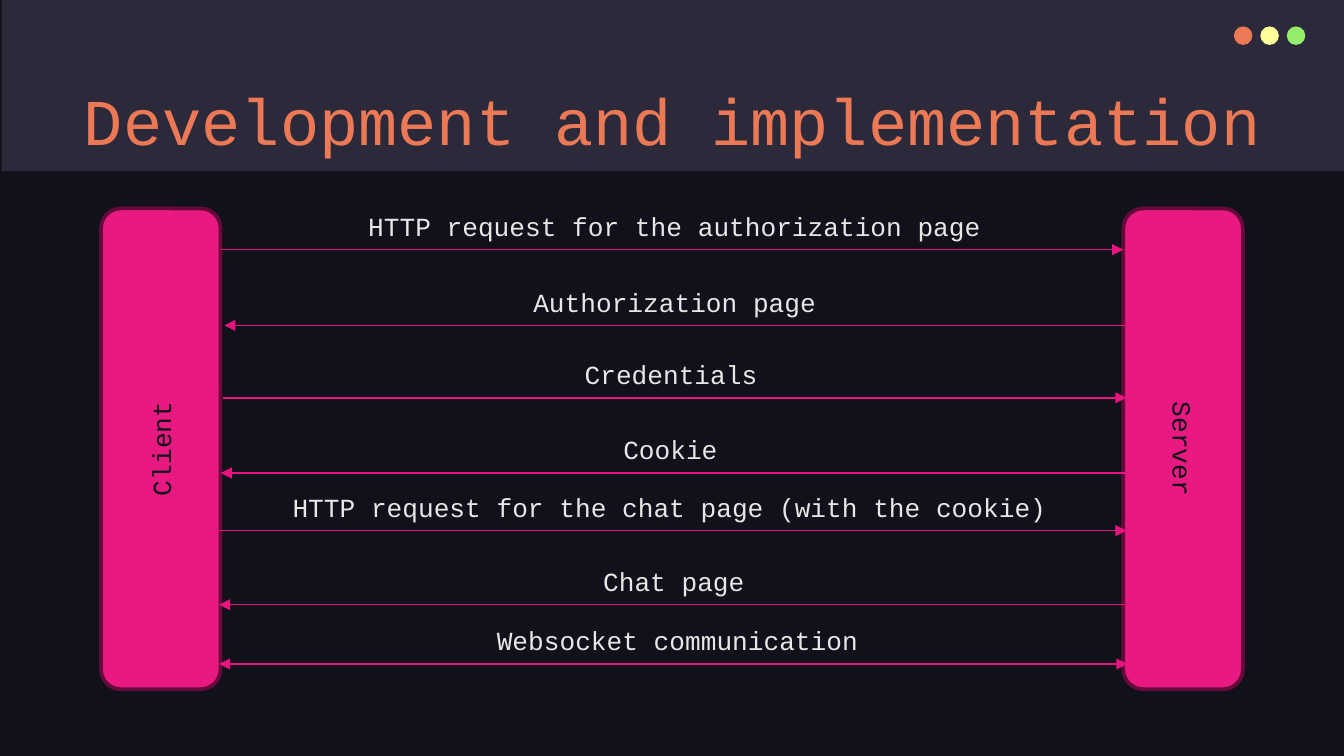
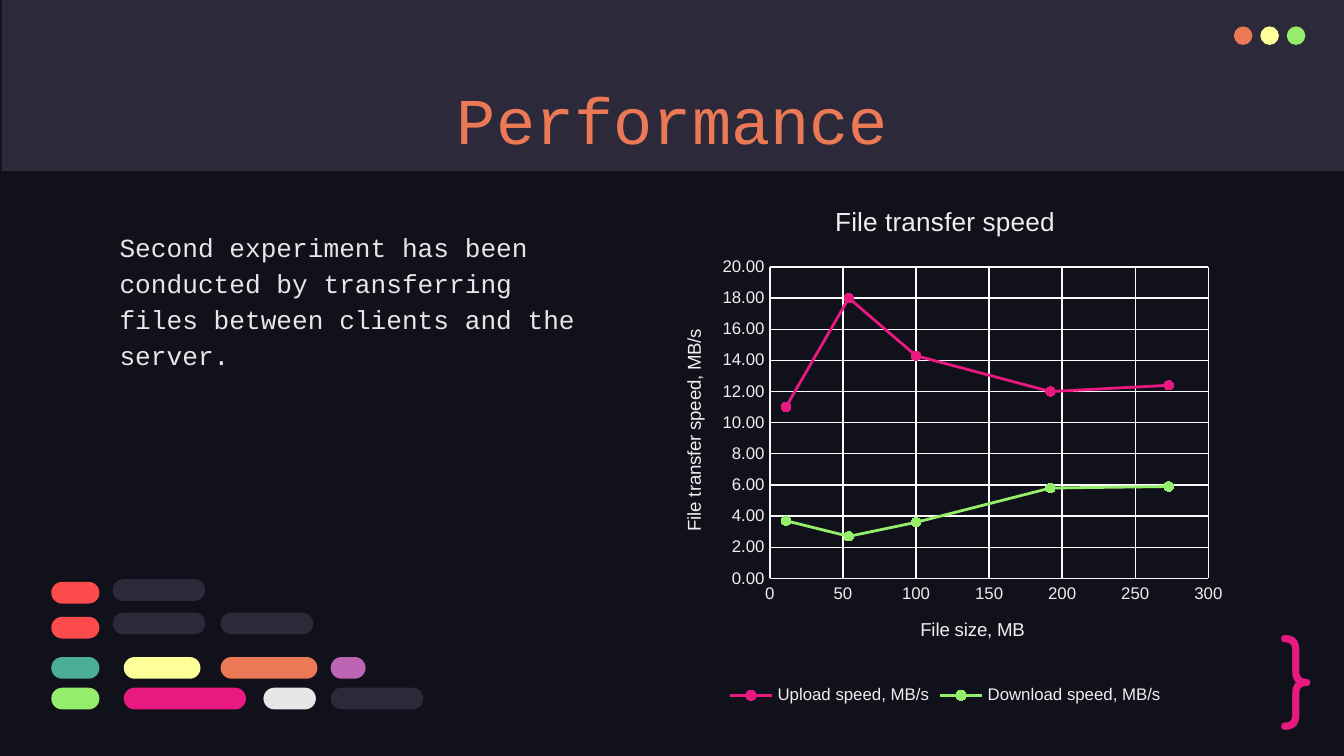
import lxml.etree
import pptx
import pptx.chart.data
import pptx.dml.color
import pptx.enum.chart
import pptx.enum.shapes
import pptx.enum.text
import pptx.oxml.ns
import pptx.util

Cm, Pt = pptx.util.Cm, pptx.util.Pt
RGB = pptx.dml.color.RGBColor.from_string
qn = pptx.oxml.ns.qn
MSO = pptx.enum.shapes.MSO_SHAPE
ALIGN = pptx.enum.text.PP_ALIGN
XL = pptx.enum.chart

COLORS = {
    "bg": "10111A", "band": "2C293A", "orange": "EC7955", "yellow": "FFFF99",
    "green": "94EE6B", "pink": "E81A81", "arrow": "E8147E", "edge": "660B39",
    "text": "E7E7E7", "red": "FD4A4A", "teal": "4CAE97", "purple": "BD64B5",
    "chart": "EFEFEF", "axis": "F9F9F9", "grid": "FBFBFB",
}
FONT = "Courier New"


def add_box(shapes, kind, box, color):
    sp = shapes.add_shape(kind, *[Cm(v) for v in box])
    sp.shadow.inherit = False
    sp.fill.solid()
    sp.fill.fore_color.rgb = RGB(COLORS[color])
    sp.line.fill.background()
    return sp


def set_text(sp, text, size, color, align=ALIGN.LEFT, inset=None, wrap=True, font=FONT):
    tf = sp.text_frame
    tf.text = text
    tf.word_wrap = wrap
    if inset is not None:
        tf.margin_left = tf.margin_right = tf.margin_top = tf.margin_bottom = Cm(inset)
    p = tf.paragraphs[0]
    p.alignment = align
    r = p.runs[0]
    r.font.size = Pt(size)
    r.font.name = font
    r.font.color.rgb = RGB(COLORS[color])
    return tf


prs = pptx.Presentation()
prs.slide_width, prs.slide_height = Cm(25.4), Cm(14.29)

titles = [
    ("Development and implementation", (1.27, 1.27, 22.89, 1.6)),
    ("Performance", (2.01, 1.24, 21.41, 1.6)),
]
slides = []
for title, box in titles:
    s = prs.slides.add_slide(prs.slide_layouts[6])
    s.background.fill.solid()
    s.background.fill.fore_color.rgb = RGB(COLORS["bg"])
    add_box(s.shapes, MSO.RECTANGLE, (0.03, 0, 25.37, 3.23), "band")
    dots = s.shapes.add_group_shape()
    for i, color in enumerate(["orange", "yellow", "green"]):
        add_box(dots.shapes, MSO.OVAL, (23.32 + 0.5 * i, 0.5, 0.35, 0.35), color)
    sp = s.shapes.add_textbox(*[Cm(v) for v in box])
    set_text(sp, title, 35, "orange", ALIGN.CENTER, 0.25)
    slides.append(s)

s = slides[0]
for name, left, vert in [("Client", 1.91, "vert270"), ("Server", 21.23, "vert")]:
    sp = add_box(s.shapes, MSO.ROUNDED_RECTANGLE, (left, 3.94, 2.26, 9.09), "pink")
    sp.line.color.rgb = RGB(COLORS["edge"])
    sp.line.width = Pt(2)
    tf = set_text(sp, name, 14, "bg", ALIGN.CENTER)
    tf.vertical_anchor = pptx.enum.text.MSO_ANCHOR.MIDDLE
    tf._txBody.bodyPr.set("vert", vert)

messages = [
    ("HTTP request for the authorization page", 6.71, 12.14, 4.17, 21.23, 4.72, ["tailEnd"]),
    ("Authorization page", 9.83, 5.89, 4.24, 21.31, 6.15, ["headEnd"]),
    ("Credentials", 10.8, 3.78, 4.22, 21.29, 7.52, ["tailEnd"]),
    ("Cookie", 11.53, 2.31, 4.17, 21.36, 8.94, ["headEnd"]),
    ("HTTP request for the chat page (with the cookie)", 5.28, 14.83, 4.14, 21.29, 10.03, ["tailEnd"]),
    ("Chat page", 11.15, 3.2, 4.14, 21.29, 11.43, ["headEnd"]),
    ("Websocket communication", 9.14, 7.37, 4.14, 21.31, 12.55, ["headEnd", "tailEnd"]),
]
for text, left, width, x1, x2, y, ends in messages:
    line = s.shapes.add_connector(
        pptx.enum.shapes.MSO_CONNECTOR.STRAIGHT, Cm(x1), Cm(y), Cm(x2), Cm(y))
    line.line.color.rgb = RGB(COLORS["arrow"])
    line.line.width = Pt(0.75)
    for end in ends:
        lxml.etree.SubElement(line.line._get_or_add_ln(), qn("a:" + end), type="triangle")
    lxml.etree.SubElement(line._element.spPr, qn("a:effectLst"))
    sp = s.shapes.add_textbox(Cm(left), Cm(y - 0.87), Cm(width), Cm(0.86))
    tf = set_text(sp, text, 14, "text", wrap=False)
    tf.auto_size = pptx.enum.text.MSO_AUTO_SIZE.SHAPE_TO_FIT_TEXT

s = slides[1]
sp = s.shapes.add_textbox(Cm(2.01), Cm(4.04), Cm(9.35), Cm(9.02))
tf = set_text(
    sp, "Second experiment has been conducted by transferring files between clients and the server.",
    14, "text", inset=0.25)
tf.paragraphs[0].line_spacing = 1.15

sizes = [11, 54, 100, 192, 273]
speeds = [
    ("Upload speed, MB/s", [11, 18, 14.3, 12, 12.4], "pink"),
    ("Download speed, MB/s", [3.7, 2.7, 3.6, 5.8, 5.9], "green"),
]
data = pptx.chart.data.XyChartData()
for name, values, color in speeds:
    series = data.add_series(name)
    for x, y in zip(sizes, values):
        series.add_data_point(x, y)
chart = s.shapes.add_chart(
    XL.XL_CHART_TYPE.XY_SCATTER_LINES, Cm(12.34), Cm(3.45), Cm(11.05), Cm(9.98), data).chart
chart.font.name = "Arial"
chart.font.size = Pt(10)
chart.font.color.rgb = RGB(COLORS["text"])
chart.has_title = True
chart.has_legend = True
chart.legend.position = XL.XL_LEGEND_POSITION.BOTTOM
chart.legend.include_in_layout = False
chart.plots[0].vary_by_categories = False

for series, (name, values, color) in zip(chart.plots[0].series, speeds):
    series.smooth = False
    series.format.line.color.rgb = RGB(COLORS[color])
    series.format.line.width = Pt(1.5)
    series.marker.style = XL.XL_MARKER_STYLE.CIRCLE
    series.marker.size = 5
    series.marker.format.fill.solid()
    series.marker.format.fill.fore_color.rgb = RGB(COLORS[color])
    series.marker.format.line.color.rgb = RGB(COLORS[color])

axes = [
    (chart.category_axis, "File size, MB", 300, 50, "General"),
    (chart.value_axis, "File transfer speed, MB/s", 20, 2, "0.00"),
]
for axis, title, top, step, number_format in axes:
    axis.minimum_scale, axis.maximum_scale, axis.major_unit = 0, top, step
    axis.major_tick_mark = axis.minor_tick_mark = XL.XL_TICK_MARK.NONE
    axis.tick_labels.number_format = number_format
    axis.tick_labels.number_format_is_linked = False
    axis.has_major_gridlines = True
    for line, color in [(axis.format.line, "axis"), (axis.major_gridlines.format.line, "grid")]:
        line.color.rgb = RGB(COLORS[color])
        line.width = Pt(0.75)
    axis.axis_title.text_frame.text = title
chart.chart_title.text_frame.text = "File transfer speed"

fonts = [(part.font, 9) for part in (chart.legend, axes[0][0].tick_labels, axes[1][0].tick_labels)]
for holder, size in [(chart.chart_title, 14), (axes[0][0].axis_title, 10), (axes[1][0].axis_title, 10)]:
    fonts.append((holder.text_frame.paragraphs[0].runs[0].font, size))
for font, size in fonts:
    font.name = "Arial"
    font.size = Pt(size)
    font.bold = False
    font.color.rgb = RGB(COLORS["chart"])

plot_area = chart.element.find(".//" + qn("c:plotArea"))
for old in plot_area.findall(qn("c:layout")):
    plot_area.remove(old)
layout = lxml.etree.Element(qn("c:layout"))
manual = lxml.etree.SubElement(layout, qn("c:manualLayout"))
for tag, val in [("layoutTarget", "inner"), ("xMode", "edge"), ("yMode", "edge"),
                 ("x", "0.2"), ("y", "0.16"), ("w", "0.75"), ("h", "0.59")]:
    lxml.etree.SubElement(manual, qn("c:" + tag), val=val)
plot_area.insert(0, layout)

code_rows = [
    (11.0, [(0.97, 0.91, "red")]),
    (11.66, [(0.97, 0.91, "red")]),
    (12.42, [(0.97, 0.91, "teal"), (2.34, 1.45, "yellow"), (4.17, 1.83, "orange"), (6.25, 0.66, "purple")]),
    (13.0, [(0.97, 0.91, "green"), (2.34, 2.31, "pink"), (4.98, 0.99, "text"), (6.25, 1.75, "band")]),
    (11.58, [(2.13, 1.75, "band"), (4.17, 1.75, "band")]),
    (10.95, [(2.13, 1.75, "band")]),
]
code = s.shapes.add_group_shape()
for top, bars in code_rows:
    for left, width, color in bars:
        sp = add_box(code.shapes, MSO.ROUNDED_RECTANGLE, (left, top, width, 0.41), color)
        sp.adjustments[0] = 0.5

sp = s.shapes.add_textbox(Cm(23.95), Cm(11.38), Cm(1.45), Cm(2.11))
set_text(sp, "}", 50, "pink", inset=0.25, font="Comfortaa")

prs.save("out.pptx")
